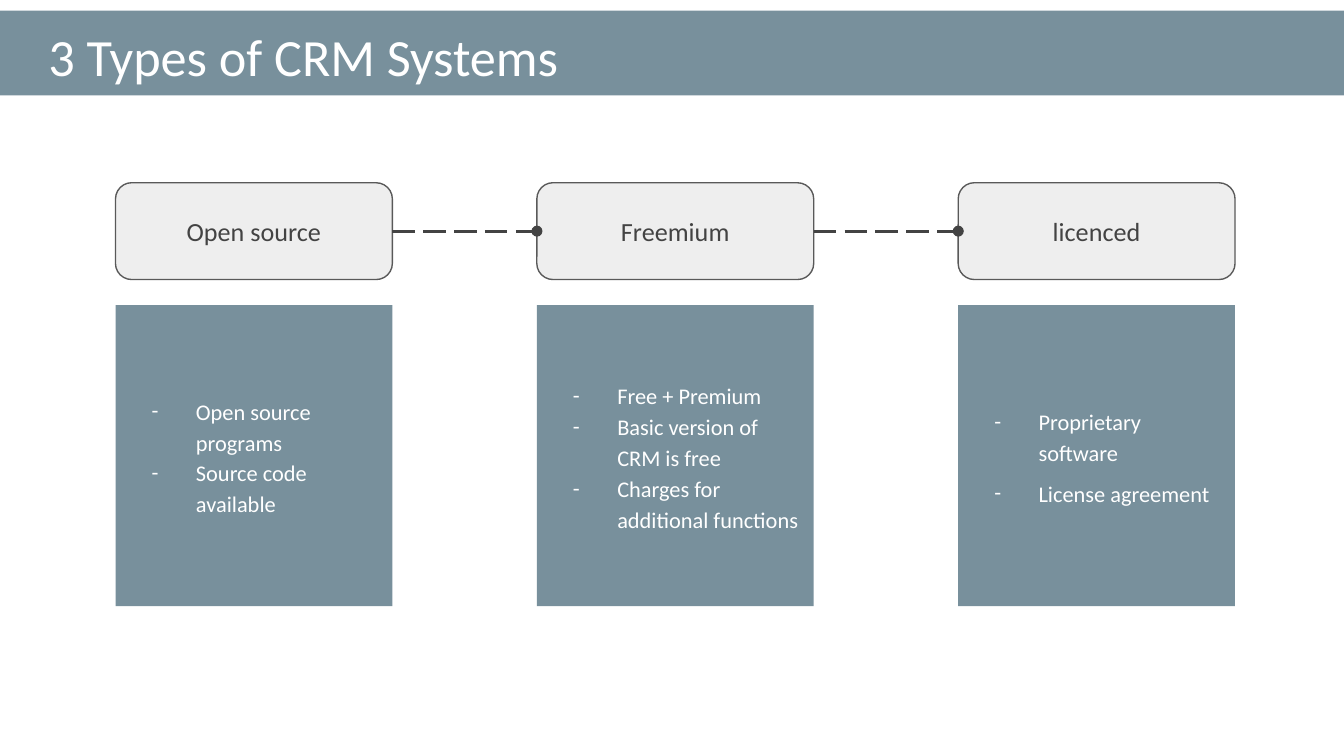
from lxml.etree import SubElement
from pptx import Presentation
from pptx.dml.color import RGBColor
from pptx.enum.dml import MSO_LINE
from pptx.enum.shapes import MSO_CONNECTOR, MSO_SHAPE
from pptx.enum.text import MSO_ANCHOR, MSO_AUTO_SIZE, PP_ALIGN
from pptx.oxml.ns import qn
from pptx.util import Inches, Pt

FONT = "Calibri"
SLATE, WHITE, PALE, DARK, OUTLINE = "78909C", "FFFFFF", "EEEEEE", "434343", "595959"

SLIDE_WIDTH = 10
SLIDE_HEIGHT = SLIDE_WIDTH * 9 / 16
FIRST_LEFT, LAST_LEFT, COLUMN_WIDTH = 0.86, 7.13, 2.06
HEADER_TOP, HEADER_HEIGHT = 1.36, 0.72
PANEL_TOP, PANEL_HEIGHT = 2.27, 2.24

# Header, then bullets with their line spacing
SYSTEMS = [
    ("Open source", [("Open source programs", 1.15), ("Source code available", 1.15)]),
    ("Freemium", [("Free + Premium", 1.15), ("Basic version of CRM is free", 1.15),
                  ("Charges for additional functions", 1.15)]),
    ("licenced", [("Proprietary software", 1.15), ("License agreement", 1.5)]),
]


def color(hex_code):
    return RGBColor.from_string(hex_code)


def fill_shape(shape, hex_code):
    shape.fill.solid()
    shape.fill.fore_color.rgb = color(hex_code)


def format_paragraph(paragraph, size, hex_code, alignment):
    paragraph.alignment = alignment
    for run in paragraph.runs:
        run.font.name = FONT
        run.font.size = Pt(size)
        run.font.color.rgb = color(hex_code)


def set_frame(text_frame, anchor):
    text_frame.word_wrap = True
    text_frame.auto_size = MSO_AUTO_SIZE.NONE
    text_frame.vertical_anchor = anchor
    text_frame.margin_left = text_frame.margin_right = Inches(0.1)
    text_frame.margin_top = text_frame.margin_bottom = Inches(0.1)


def add_dash_bullet(paragraph):
    properties = paragraph._p.get_or_add_pPr()
    properties.set("marL", str(Inches(0.5)))
    properties.set("indent", str(Inches(-0.33)))
    bullet_color = SubElement(properties, qn("a:buClr"))
    SubElement(bullet_color, qn("a:srgbClr"), val=WHITE)
    SubElement(properties, qn("a:buFont"), typeface=FONT)
    SubElement(properties, qn("a:buChar"), char="-")


def set_title(slide, text):
    title = slide.shapes.title
    title.left, title.top = Inches(-0.09), Inches(0.08)
    title.width, title.height = Inches(10.22), Inches(0.63)
    fill_shape(title, SLATE)
    text_frame = title.text_frame
    set_frame(text_frame, MSO_ANCHOR.TOP)
    text_frame.margin_left = Inches(0.45)
    text_frame.text = text
    format_paragraph(text_frame.paragraphs[0], 28, WHITE, PP_ALIGN.LEFT)


def add_box(slide, kind, left, top, height, fill):
    shape = slide.shapes.add_shape(
        kind, Inches(left), Inches(top), Inches(COLUMN_WIDTH), Inches(height))
    shape.shadow.inherit = False
    fill_shape(shape, fill)
    set_frame(shape.text_frame, MSO_ANCHOR.MIDDLE)
    return shape


def add_header(slide, left, text):
    header = add_box(slide, MSO_SHAPE.ROUNDED_RECTANGLE, left, HEADER_TOP, HEADER_HEIGHT, PALE)
    header.line.color.rgb = color(OUTLINE)
    header.line.width = Pt(0.75)
    header.text_frame.text = text
    format_paragraph(header.text_frame.paragraphs[0], 14, DARK, PP_ALIGN.CENTER)
    return header


def add_panel(slide, left, bullets):
    panel = add_box(slide, MSO_SHAPE.RECTANGLE, left, PANEL_TOP, PANEL_HEIGHT, SLATE)
    panel.line.fill.background()
    panel.text_frame.text = "\n".join(text for text, _ in bullets)
    for paragraph, (_, spacing) in zip(panel.text_frame.paragraphs, bullets):
        format_paragraph(paragraph, 12, WHITE, PP_ALIGN.LEFT)
        paragraph.line_spacing = spacing
        add_dash_bullet(paragraph)


def connect(slide, start, end):
    """Join two headers with a dashed line ending in a dot."""
    connector = slide.shapes.add_connector(MSO_CONNECTOR.STRAIGHT, 0, 0, 0, 0)
    connector.begin_connect(start, 3)
    connector.end_connect(end, 1)
    connector.line.color.rgb = color(DARK)
    connector.line.width = Pt(1.5)
    connector.line.dash_style = MSO_LINE.LONG_DASH
    SubElement(connector.line._get_or_add_ln(), qn("a:tailEnd"), type="oval")
    SubElement(connector._element.spPr, qn("a:effectLst"))


def main():
    presentation = Presentation()
    presentation.slide_width = Inches(SLIDE_WIDTH)
    presentation.slide_height = Inches(SLIDE_HEIGHT)
    slide = presentation.slides.add_slide(presentation.slide_layouts[5])
    set_title(slide, "3 Types of CRM Systems")

    pitch = (LAST_LEFT - FIRST_LEFT) / (len(SYSTEMS) - 1)
    headers = []
    for index, (name, bullets) in enumerate(SYSTEMS):
        left = FIRST_LEFT + index * pitch
        headers.append(add_header(slide, left, name))
        add_panel(slide, left, bullets)
    for start, end in zip(headers, headers[1:]):
        connect(slide, start, end)

    presentation.save("out.pptx")


if __name__ == "__main__":
    main()
